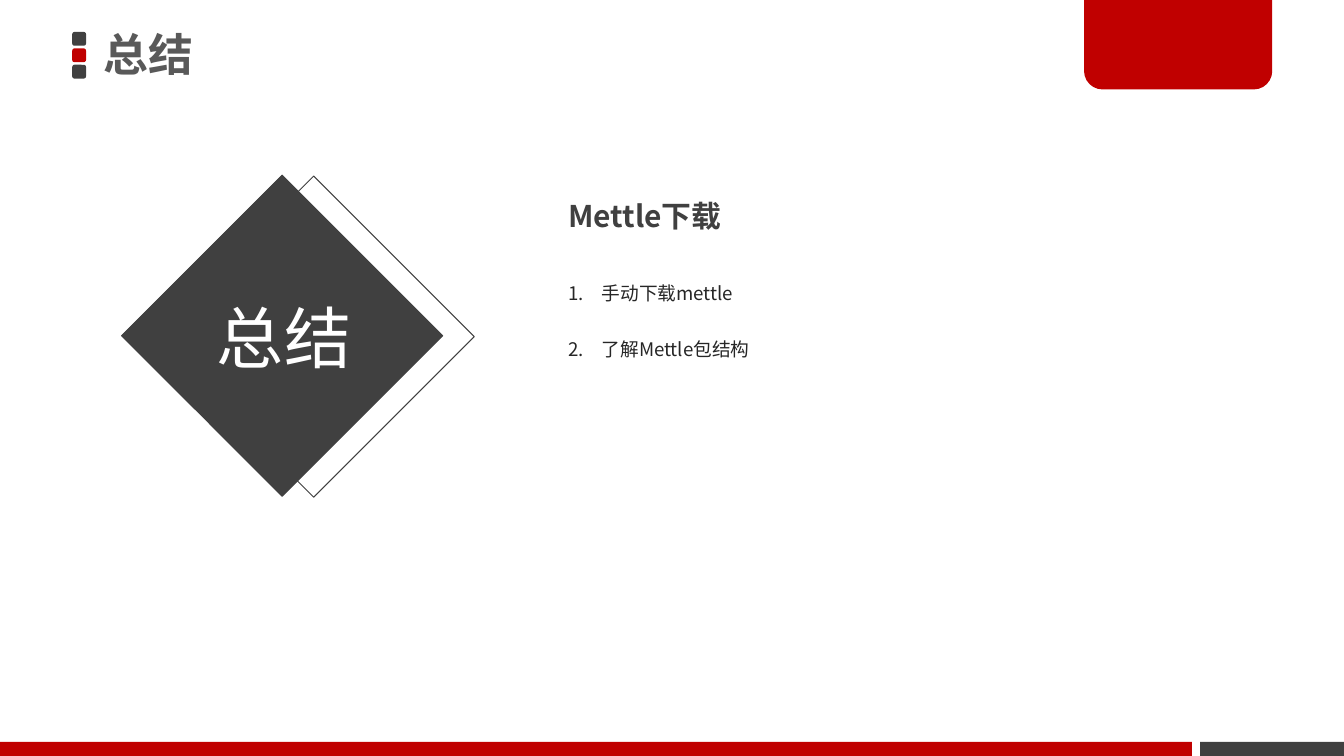
from pptx import Presentation
from pptx.dml.color import RGBColor
from pptx.enum.shapes import MSO_SHAPE as Shape
from pptx.enum.text import MSO_ANCHOR as Anchor, MSO_AUTO_SIZE as AutoSize, PP_ALIGN as Align
from pptx.oxml.ns import qn
from pptx.util import Pt
from lxml.etree import SubElement

FONT = "Noto Sans CJK SC"
DARK = "404040"
RED = "C00000"


def color(value):
    return RGBColor.from_string(value)


def add_block(slide, kind, box, fill=None, line=None, rotation=0, adjustments=()):
    shape = slide.shapes.add_shape(kind, *map(Pt, box))
    shape.shadow.inherit = False
    shape.rotation = rotation
    for index, value in enumerate(adjustments):
        shape.adjustments[index] = value
    if fill:
        shape.fill.solid()
        shape.fill.fore_color.rgb = color(fill)
    else:
        shape.fill.background()
    if line:
        shape.line.color.rgb = color(line)
        shape.line.width = Pt(0.5)
    else:
        shape.line.fill.background()


def add_text(slide, box, lines, size, ink, bold=False, align=Align.LEFT,
             anchor=Anchor.TOP, spacing=1.0, insets=(7.2, 3.6), grow=False):
    frame = slide.shapes.add_textbox(*map(Pt, box)).text_frame
    frame.word_wrap = True
    frame.auto_size = AutoSize.SHAPE_TO_FIT_TEXT if grow else AutoSize.NONE
    frame.vertical_anchor = anchor
    frame.margin_left = frame.margin_right = Pt(insets[0])
    frame.margin_top = frame.margin_bottom = Pt(insets[1])
    frame.text = "\n".join(lines)
    for para in frame.paragraphs:
        para.alignment = align
        para.line_spacing = spacing
        for span in para.runs:
            span.font.size = Pt(size)
            span.font.bold = bold
            span.font.color.rgb = color(ink)
            span.font.name = FONT
            SubElement(span.font._element, qn("a:ea"), typeface=FONT)
    return frame


def number_paragraphs(frame, indent):
    for para in frame.paragraphs:
        properties = para._p.get_or_add_pPr()
        properties.set("marL", str(Pt(indent)))
        properties.set("indent", str(-Pt(indent)))
        SubElement(properties, qn("a:buFont"), typeface="+mj-lt")
        SubElement(properties, qn("a:buAutoNum"), type="arabicPeriod")


def add_decoration(slide):
    for row, fill in enumerate((DARK, RED, DARK)):
        add_block(slide, Shape.ROUNDED_RECTANGLE, (38.7, 17.1 + 8.8 * row, 7.4, 7.4),
                  fill, adjustments=[0.167])
    add_block(slide, Shape.RECTANGLE, (643, 397.5, 77, 7.5), DARK)
    add_block(slide, Shape.ROUND_2_SAME_RECTANGLE, (580.8, -1.5, 100.8, 49.4),
              RED, adjustments=[0, 0.2])
    add_block(slide, Shape.RECTANGLE, (0, 397.5, 638.6, 7.5), RED)


def add_badge(slide):
    side = 121.7
    add_block(slide, Shape.RECTANGLE, (107.2, 119.5, side, side), line=DARK, rotation=45)
    add_block(slide, Shape.RECTANGLE, (90.3, 119, side, side), DARK, DARK, rotation=45)
    add_text(slide, (1.4, 151.2, 301.7, 64), ["总结"], 36, "FFFFFF", align=Align.CENTER,
             anchor=Anchor.MIDDLE, spacing=0.9, insets=(5.8, 2.9))


def main():
    deck = Presentation()
    deck.slide_width, deck.slide_height = Pt(720), Pt(405)
    slide = deck.slides.add_slide(deck.slide_layouts[6])
    add_decoration(slide)
    add_text(slide, (49.7, -1.5, 310.3, 64), ["总结"], 24, "595959", bold=True,
             anchor=Anchor.MIDDLE, spacing=0.9, insets=(5.8, 2.9))
    add_badge(slide)
    add_text(slide, (297.4, 102.2, 278, 26.6), ["Mettle下载"], 16, DARK, bold=True, grow=True)
    steps = add_text(slide, (297.4, 129.6, 272, 67.7), ["手动下载mettle", "了解Mettle包结构"],
                     10, "262626", spacing=2.5, grow=True)
    number_paragraphs(steps, 18)
    deck.save("out.pptx")


if __name__ == "__main__":
    main()
